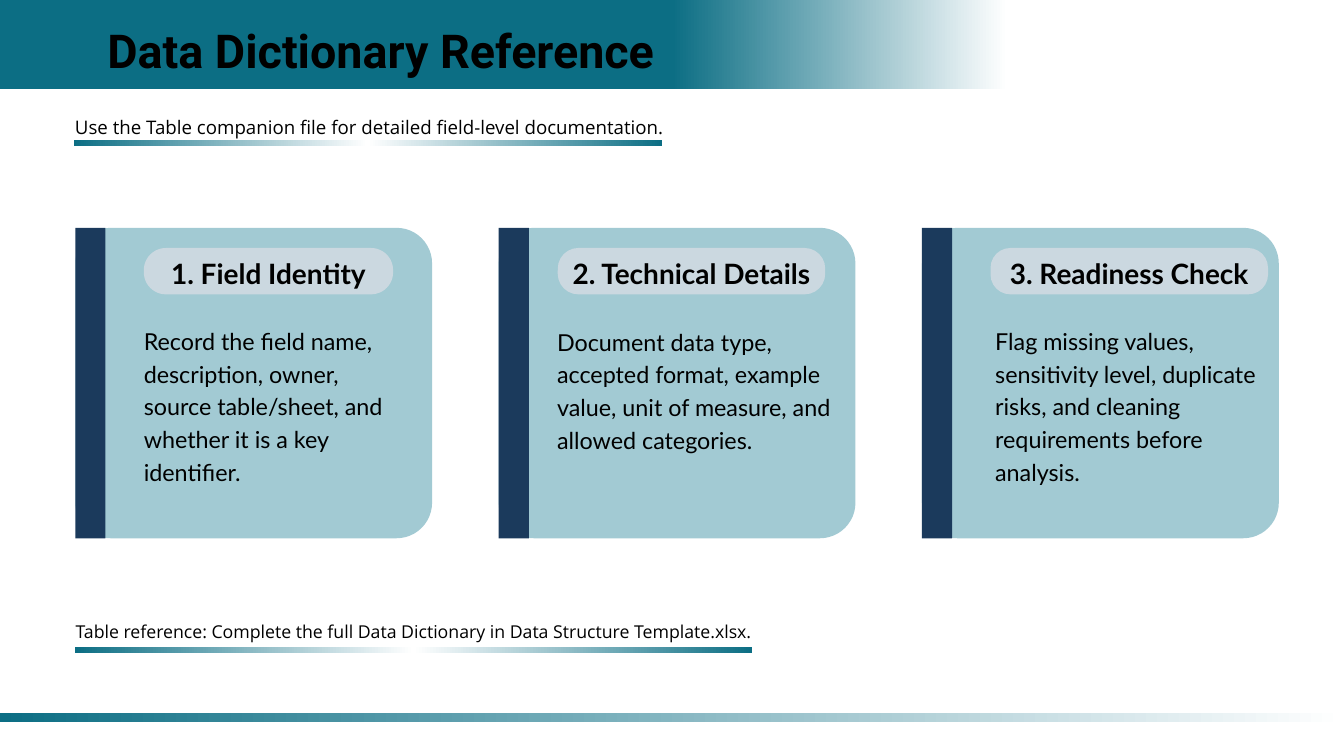
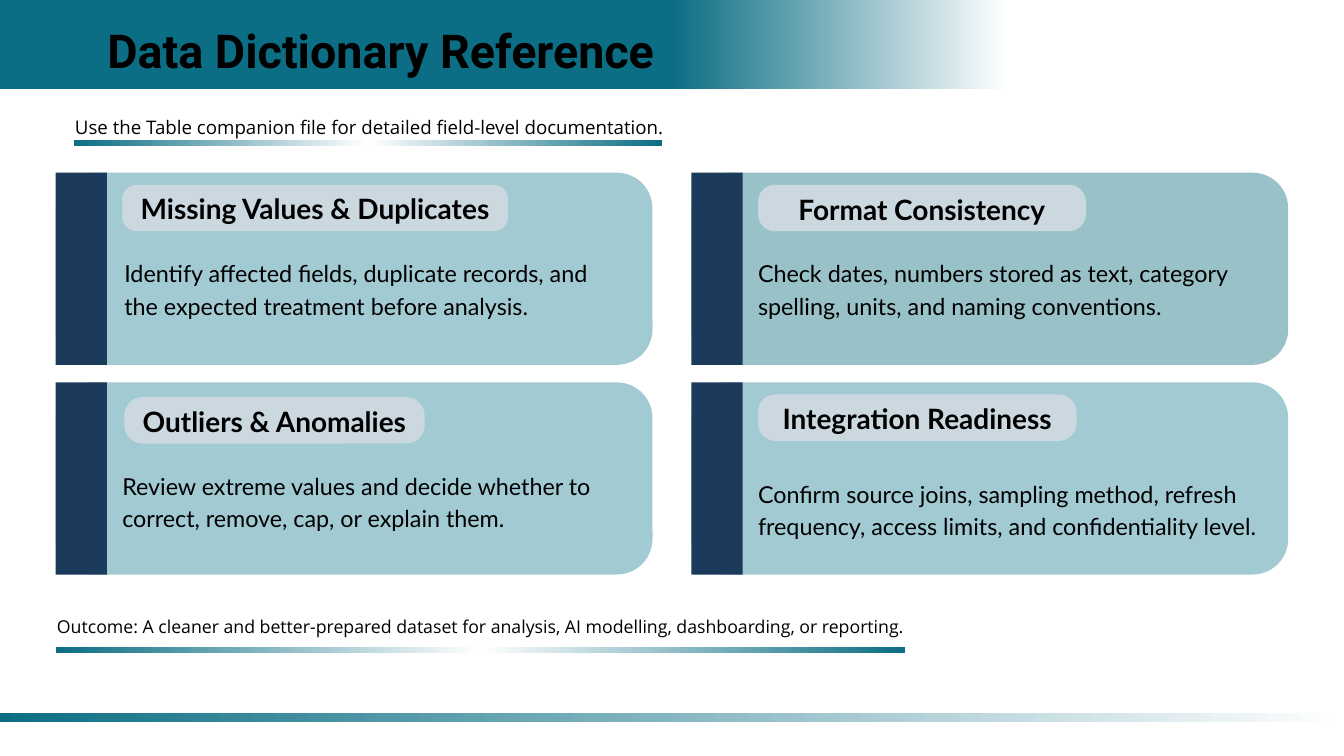
from lxml import etree
from pptx import Presentation, util as u
from pptx.dml.color import RGBColor
from pptx.enum import shapes, text
from pptx.oxml.ns import qn

COLS, ROWS = 20, 11.25
TEAL, NAVY, PALE, DUSK, MIST = "0C6E84", "1B3A5C", "A2CAD3", "99C1C8", "CBD8E0"
WHITE, BLACK = "FFFFFF", "000000"
FADE = [(0, TEAL), (100, WHITE)]
BAND = [(0, TEAL), (25, TEAL), (50, TEAL), (75, WHITE), (100, WHITE)]
RULE = [(0, TEAL), (50, WHITE), (100, TEAL)]
RECT = shapes.MSO_SHAPE.RECTANGLE
ROUND = shapes.MSO_SHAPE.ROUNDED_RECTANGLE
MID, LEFT = text.PP_ALIGN.CENTER, text.PP_ALIGN.LEFT


def color(code):
    return RGBColor.from_string(code)


class Deck:
    """Holds the shared style and the slide being filled; lengths are grid columns and rows."""

    def __init__(self):
        self.prs = Presentation()
        self.prs.slide_width = u.Inches(20)
        self.prs.slide_height = u.Inches(11.25)
        self.slide = None

    def grid(self, x, y, w, h):
        col, row = self.prs.slide_width / COLS, self.prs.slide_height / ROWS
        return [round(v) for v in (x * col, y * row, w * col, h * row)]

    def page(self, title, lead):
        self.slide = self.prs.slides.add_slide(self.prs.slide_layouts[5])
        self.fade((0, 0, COLS, 1.32), BAND)
        self.fade((0, 10.61, COLS, 0.14), FADE)
        self.title(title)
        self.label((1.03, 1.67, 8.93, 0.37), lead, 20, 28)
        self.fade((1.1, 2.09, 8.75, 0.09), RULE)

    def title(self, words):
        head = self.slide.shapes.title
        head.left, head.top, head.width, head.height = self.grid(1.12, 0.18, 9.1, 0.94)
        self.slide.shapes._spTree.append(head._element)  # in front of the band
        self.style(head, words, "Roboto", 50, 70, MID, bold=True)

    def style(self, shape, words, font, size, lead, align, bold=False, pad=(0, 0), wrap=True):
        """Set one paragraph; pad is the top and bottom inset in inches."""
        frame = shape.text_frame
        frame.text = words
        frame.word_wrap = wrap
        frame.auto_size = text.MSO_AUTO_SIZE.NONE
        frame.vertical_anchor = text.MSO_ANCHOR.TOP
        frame.margin_left = frame.margin_right = 0
        frame.margin_top, frame.margin_bottom = map(u.Inches, pad)
        para = frame.paragraphs[0]
        para.alignment = align
        para.line_spacing = u.Pt(lead)
        face = para.runs[0].font
        face.name, face.size, face.bold = font, u.Pt(size), bold
        face.color.rgb = color(BLACK)

    def label(self, box, words, size, lead):
        shape = self.slide.shapes.add_textbox(*self.grid(*box))
        self.style(shape, words, "Open Sans", size, lead, MID, wrap=False)

    def body(self, box, words):
        shape = self.slide.shapes.add_textbox(*self.grid(*box))
        self.style(shape, words, "Lato", 25, 35, LEFT)

    def block(self, box, hue=None, curve=0):
        """Add a borderless shape; curve is its corner radius."""
        shape = self.slide.shapes.add_shape(ROUND if curve else RECT, *self.grid(*box))
        if curve:
            shape.adjustments[0] = curve / min(box[2:])
        shape.shadow.inherit = False
        shape.line.fill.background()
        if hue:
            shape.fill.solid()
            shape.fill.fore_color.rgb = color(hue)
        return shape

    def fade(self, box, stops):
        shape = self.block(box)
        shape.fill.gradient()
        shape.fill.gradient_angle = 0
        row = shape._element.spPr.find(".//" + qn("a:gsLst"))
        for old in list(row):
            row.remove(old)
        for pos, hue in stops:
            stop = etree.SubElement(row, qn("a:gs"), pos=str(pos * 1000))
            etree.SubElement(stop, qn("a:srgbClr"), val=hue)

    def pill(self, x, y, w, words):
        shape = self.block((x, y, w, 0.69), MIST, 1.22 / w)
        self.style(shape, words, "Lato", 30, 35, MID, bold=True, pad=(0.05, 0.15))

    def card(self, box, bar, head, note, pill, body, hue=PALE):
        """Add a card; pill (x, y, width) and body (x, y, width, height) start at its corner."""
        x, y, w, h = box
        self.block(box, hue, 0.53)
        self.block((x, y, bar, h), NAVY)
        self.pill(x + pill[0], y + pill[1], pill[2], head)
        self.body((x + body[0], y + body[1], *body[2:]), note)

    def close(self, x, y, w, words):
        self.label((x, y, w, 0.35), words, 19, 26.6)
        self.fade((x, 9.63, w, 0.09), RULE)


TITLE = "Data Dictionary Reference"
LEAD = "Use the Table companion file for detailed field-level documentation."

STEPS = [
    ("1. Field Identity",
     "Record the field name, description, owner, source table/sheet, "
     "and whether it is a key identifier.",
     (1.02, 0.3, 3.71), (1.02, 1.41, 3.71, 2.38)),
    ("2. Technical Details",
     "Document data type, accepted format, example value, "
     "unit of measure, and allowed categories.",
     (0.88, 0.3, 3.98), (0.87, 1.42, 4.25, 1.89)),
    ("3. Readiness Check",
     "Flag missing values, sensitivity level, duplicate risks, "
     "and cleaning requirements before analysis.",
     (1.02, 0.3, 4.13), (1.09, 1.41, 3.97, 2.38)),
]

CHECKS = [
    ("Missing Values & Duplicates",
     "Identify affected fields, duplicate records, and the expected treatment before analysis.",
     (0.99, 0.18, 5.74), (1.02, 1.22, 7.38, 0.94), PALE),
    ("Format Consistency",
     "Check dates, numbers stored as text, category spelling, units, and naming conventions.",
     (0.99, 0.18, 4.88), (0.99, 1.22, 7.38, 0.94), DUSK),
    ("Outliers & Anomalies",
     "Review extreme values and decide whether to correct, remove, cap, or explain them.",
     (1.02, 0.22, 4.47), (0.99, 1.26, 7.38, 0.94), PALE),
    ("Integration Readiness",
     "Confirm source joins, sampling method, refresh frequency, access limits, "
     "and confidentiality level.",
     (0.99, 0.18, 4.74), (0.99, 1.38, 7.59, 0.94), PALE),
]


def main():
    deck = Deck()

    deck.page(TITLE, LEAD)
    for i, step in enumerate(STEPS):
        deck.card((1.12 + 6.3 * i, 3.39, 5.31, 4.62), 0.45, *step)
    deck.close(1.12, 9.18, 10.07,
               "Table reference: Complete the full Data Dictionary in Data Structure Template.xlsx.")

    deck.page(TITLE, LEAD)
    for i, check in enumerate(CHECKS):
        row, col = divmod(i, 2)
        deck.card((0.83 + 9.46 * col, 2.57 + 3.12 * row, 8.88, 2.86), 0.76, *check)
    deck.close(0.83, 9.11, 12.64,
               "Outcome: A cleaner and better-prepared dataset for analysis, "
               "AI modelling, dashboarding, or reporting.")

    deck.prs.save("out.pptx")


if __name__ == "__main__":
    main()
